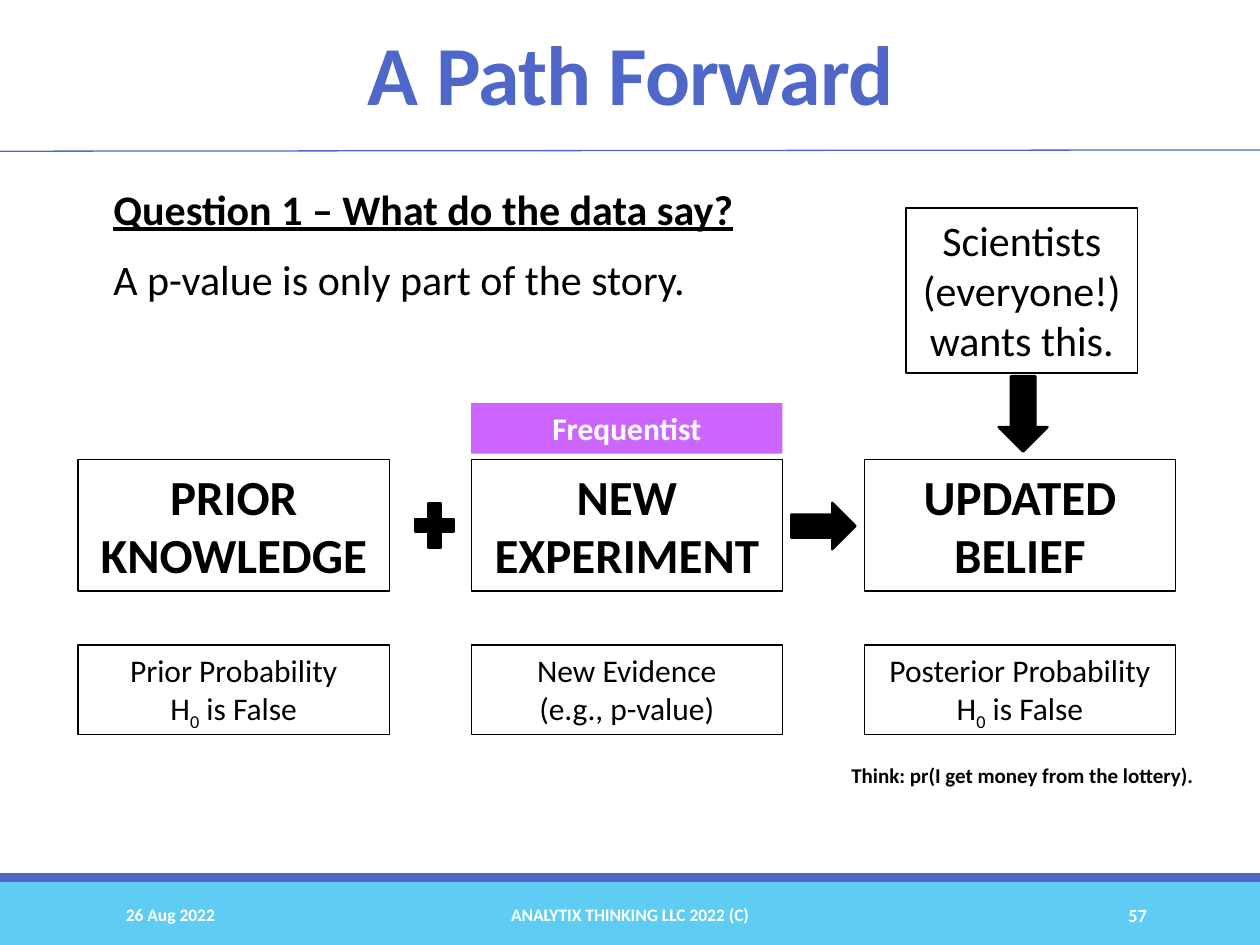
"""Build the "A Path Forward" slide on prior knowledge, evidence and belief."""
from dataclasses import dataclass
from typing import Optional

from lxml import etree
from pptx import Presentation
from pptx.dml.color import RGBColor
from pptx.enum import shapes, text
from pptx.oxml import ns
from pptx.util import Inches, Pt

BLACK = RGBColor(0x00, 0x00, 0x00)
WHITE = RGBColor(0xFF, 0xFF, 0xFF)
INDIGO = RGBColor(0x4E, 0x67, 0xC8)
SKY = RGBColor(0x5E, 0xCC, 0xF3)
VIOLET = RGBColor(0xCC, 0x66, 0xFF)
KIND = shapes.MSO_SHAPE
ALIGN = text.PP_ALIGN
ANCHOR = text.MSO_ANCHOR


@dataclass
class Frame:
    left: float
    top: float
    width: float
    height: float

    def lengths(self) -> list:
        return [Inches(n) for n in (self.left, self.top, self.width, self.height)]


@dataclass
class Style:
    size: float
    bold: bool = False
    color: RGBColor = BLACK
    align: ALIGN = ALIGN.CENTER
    anchor: ANCHOR = ANCHOR.TOP


@dataclass
class Box:
    frame: Frame
    lines: list[str]
    style: Style
    fill: Optional[RGBColor] = None
    outline: Optional[RGBColor] = BLACK


@dataclass
class Symbol:
    kind: KIND
    frame: Frame
    rotation: float = 0


@dataclass
class Stage:
    title: list[str]
    detail: list[str]


def write(shape, lines: list[str], style: Style) -> list:
    """Fill a shape with paragraphs, lowering the parts set between underscores."""
    frame = shape.text_frame
    frame.word_wrap = True
    frame.vertical_anchor = style.anchor
    for index, line in enumerate(lines):
        paragraph = frame.add_paragraph() if index else frame.paragraphs[0]
        paragraph.alignment = style.align
        paragraph.font.name = "Calibri"
        paragraph.font.size = Pt(style.size)
        paragraph.font.bold = style.bold
        paragraph.font.color.rgb = style.color
        for part_index, part in enumerate(line.split("_")):
            run = paragraph.add_run()
            run.text = part
            if part_index % 2:
                run.font._element.set("baseline", "-25000")
    return list(frame.paragraphs)


def add_figure(slide, kind: KIND, frame: Frame, fill: Optional[RGBColor],
               outline: Optional[RGBColor] = None, weight: float = 0.75):
    """Add a preset shape with the given fill and outline."""
    shape = slide.shapes.add_shape(kind, *frame.lengths())
    shape.shadow.inherit = False
    for paint, color in ((shape.fill, fill), (shape.line.fill, outline)):
        if color is None:
            paint.background()
        else:
            paint.solid()
            paint.fore_color.rgb = color
    if outline is not None:
        shape.line.width = Pt(weight)
    return shape


def add_box(slide, box: Box) -> None:
    """Add a rectangle with text."""
    shape = add_figure(slide, KIND.RECTANGLE, box.frame, box.fill, box.outline)
    write(shape, box.lines, box.style)


def add_symbol(slide, symbol: Symbol) -> None:
    """Add a solid black arrow or plus sign."""
    shape = add_figure(slide, symbol.kind, symbol.frame, BLACK, BLACK, 1.25)
    shape.rotation = symbol.rotation


def add_text(slide, frame: Frame, lines: list[str], style: Style) -> list:
    """Add a text box and return its paragraphs."""
    return write(slide.shapes.add_textbox(*frame.lengths()), lines, style)


def add_rule(slide) -> None:
    """Add the thin line under the title."""
    rule = slide.shapes.add_connector(
        shapes.MSO_CONNECTOR.STRAIGHT, Inches(0), Inches(1.2), Inches(10), Inches(1.19))
    rule.line.color.rgb = INDIGO
    rule.line.width = Pt(0.75)
    etree.SubElement(rule._element.spPr, ns.qn("a:effectLst"))


def add_heading(slide) -> None:
    """Add the title and the question below it."""
    title = add_text(slide, Frame(0.88, 0.16, 8.25, 0.86), ["A Path Forward"],
                     Style(48, True, INDIGO, anchor=ANCHOR.BOTTOM))[0]
    title.line_spacing = 0.85
    title.runs[0].font._element.set("spc", "-50")

    body = slide.shapes.add_textbox(*Frame(0.9, 1.45, 8.25, 1.13).lengths())
    body.text_frame.margin_left = body.text_frame.margin_right = 0
    question, answer = write(
        body, ["Question 1 – What do the data say?", "A p-value is only part of the story."],
        Style(24, align=ALIGN.LEFT))
    for paragraph in (question, answer):
        paragraph.line_spacing = 0.9
        paragraph.space_after = Pt(2)
    answer.space_before = Pt(12)
    question.font.bold = question.font.underline = True


def add_footer(slide) -> None:
    """Add the date, the copyright line and the slide number."""
    for left, width, words, size, align in (
            (0.9, 2.03, "26 Aug 2022", 10, ALIGN.LEFT),
            (3.02, 3.96, "ANALYTIX THINKING LLC 2022 (C)", 10, ALIGN.CENTER),
            (8.12, 1.08, "57", 10.5, ALIGN.RIGHT)):
        add_text(slide, Frame(left, 7.06, width, 0.4), [words],
                 Style(size, True, WHITE, align, ANCHOR.MIDDLE))


def add_stages(slide) -> None:
    """Add the three stages, their details and the labels around them."""
    stages = [
        Stage(["PRIOR KNOWLEDGE"], ["Prior Probability", "H_0_ is False"]),
        Stage(["NEW", "EXPERIMENT"], ["New Evidence", "(e.g., p-value)"]),
        Stage(["UPDATED BELIEF"], ["Posterior Probability", "H_0_ is False"]),
    ]
    first, pitch, width = 0.62, 3.12, 2.47
    for index, stage in enumerate(stages):
        left = first + index * pitch
        add_box(slide, Box(Frame(left, 3.65, width, 1.04), stage.title, Style(28, True)))
        add_box(slide, Box(Frame(left, 5.12, width, 0.71), stage.detail, Style(18)))

    for box in (
            Box(Frame(first + pitch, 3.2, width, 0.4), ["Frequentist"],
                Style(18, True, WHITE), VIOLET, None),
            Box(Frame(7.19, 1.65, 1.84, 1.31), ["Scientists (everyone!) wants this."], Style(24)),
            Box(Frame(6.63, 6, 2.97, 0.3), ["Think: pr(I get money from the lottery)."],
                Style(12, True), WHITE, None)):
        add_box(slide, box)
    for symbol in (
            Symbol(KIND.MATH_PLUS, Frame(3.24, 3.93, 0.42, 0.48)),
            Symbol(KIND.RIGHT_ARROW, Frame(6.28, 3.99, 0.51, 0.37)),
            Symbol(KIND.RIGHT_ARROW, Frame(7.82, 3.09, 0.6, 0.39), 90)):
        add_symbol(slide, symbol)


def main() -> None:
    """Assemble and save the presentation."""
    presentation = Presentation()
    presentation.slide_width, presentation.slide_height = Inches(10), Inches(7.5)
    slide = presentation.slides.add_slide(presentation.slide_layouts[6])
    add_figure(slide, KIND.RECTANGLE, Frame(0, 7, 10, 0.5), SKY)
    add_figure(slide, KIND.RECTANGLE, Frame(0, 6.93, 10, 0.07), INDIGO)
    add_rule(slide)
    add_heading(slide)
    add_footer(slide)
    add_stages(slide)
    presentation.save("out.pptx")


if __name__ == "__main__":
    main()
